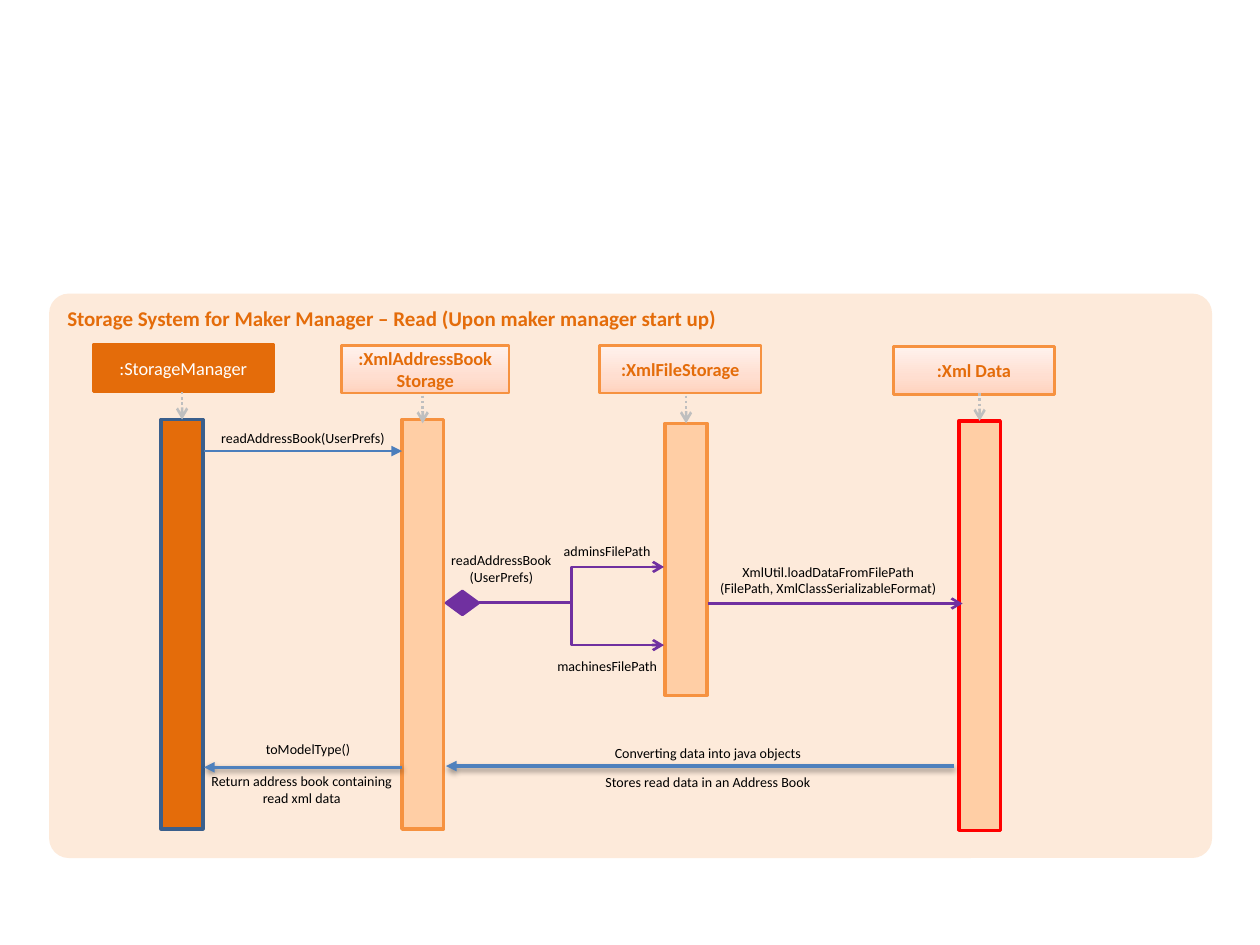
"""Build the storage read sequence diagram slide."""
from copy import deepcopy

from lxml.etree import SubElement
from pptx import Presentation
from pptx.dml.color import RGBColor
from pptx.enum.dml import MSO_LINE
from pptx.enum.shapes import MSO_CONNECTOR, MSO_SHAPE
from pptx.enum.text import MSO_ANCHOR, MSO_AUTO_SIZE, PP_ALIGN
from pptx.oxml.ns import qn
from pptx.util import Inches, Pt

ORANGE, PEACH, PURPLE, BLUE = "E46C0A", "FFCEA5", "7030A0", "4F81BD"
GRADIENT = [(0, "FFD2BD"), (0.35, "FFDED0"), (1, "FFF2ED")]
TITLE = "Storage System for Maker Manager – Read (Upon maker manager start up)"
BAR_WIDTH, HEADER_HEIGHT, DROP = 0.33, 0.38, 0.22

# name lines, header (left, top, width), bar (left, top, height), bar colours, drop top
LIFELINES = [
    ([":StorageManager"], (0.74, 2.73, 1.43), (1.28, 3.33, 3.25), (ORANGE, "3A5F8C"), 3.11),
    ([":XmlAddressBook", "Storage"], (2.71, 2.74, 1.33), (3.19, 3.33, 3.25), (PEACH, "F69240"), 3.14),
    ([":XmlFileStorage"], (4.76, 2.74, 1.28), (5.28, 3.36, 2.16), (PEACH, "F69240"), 3.14),
    ([":Xml Data"], (7.09, 2.75, 1.28), (7.61, 3.34, 3.25), (PEACH, "FF0000"), 3.12),
]
# start, end, colour, width, arrowhead, elbow, shadow
MESSAGES = [
    ((1.62, 3.58), (3.19, 3.58), "4B7EBC", 0.75, "triangle", False, False),
    ((3.8, 4.78), (5.27, 5.12), PURPLE, 1.5, "arrow", True, False),
    ((3.8, 4.78), (5.27, 4.5), PURPLE, 1.5, "arrow", True, False),
    ((5.62, 4.79), (7.64, 4.79), PURPLE, 1.5, "arrow", False, False),
    ((7.57, 6.08), (3.54, 6.08), BLUE, 2, "triangle", False, True),
    ((3.19, 6.09), (1.62, 6.09), BLUE, 2, "triangle", False, True),
]
LABELS = [
    ((1.62, 3.36, 1.57, 0.24), ["readAddressBook(UserPrefs)"]),
    ((3.46, 4.33, 1.04, 0.37), ["readAddressBook", "(UserPrefs)"]),
    ((4.3, 5.17, 1.04, 0.24), ["machinesFilePath"]),
    ((4.3, 4.26, 1.04, 0.24), ["adminsFilePath"]),
    ((5.58, 4.42, 1.99, 0.37), ["XmlUtil.loadDataFromFilePath", "(FilePath, XmlClassSerializableFormat)"]),
    ((4.43, 6.09, 2.38, 0.24), ["Stores read data in an Address Book"]),
    ((4.43, 5.86, 2.38, 0.24), ["Converting data into java objects"]),
    ((1.57, 6.08, 1.65, 0.38), ["Return address book containing read xml data"]),
    ((1.62, 5.83, 1.65, 0.24), ["toModelType()"]),
]


def colour(value):
    """Turn a hex string into a colour."""
    return RGBColor.from_string(value)


def add_run(paragraph, text, size, value, bold=False):
    """Add one formatted run."""
    run = paragraph.add_run()
    run.text = text
    run.font.name, run.font.size, run.font.bold = "Calibri", Pt(size), bold
    run.font.color.rgb = colour(value)


def add_box(slide, kind, box, fill, line=None, width=1.5):
    """Add a preset shape with a solid or gradient fill."""
    shape = slide.shapes.add_shape(kind, *map(Inches, box))
    shape.shadow.inherit = False
    if isinstance(fill, str):
        shape.fill.solid()
        shape.fill.fore_color.rgb = colour(fill)
    else:
        shape.fill.gradient()
        shape.fill.gradient_angle = 90
        stops = shape._element.spPr.find(".//" + qn("a:gsLst"))
        stops.append(deepcopy(stops[-1]))
        for stop, (position, value) in zip(shape.fill.gradient_stops, fill):
            stop.position, stop.color.rgb = position, colour(value)
    if line:
        shape.line.color.rgb = colour(line)
        shape.line.width = Pt(width)
    else:
        shape.line.fill.background()
    return shape


def add_arrow(slide, start, end, value, width, head, elbow=False, shadow=False, dash=None):
    """Add a connector with an arrowhead at its end."""
    kind = MSO_CONNECTOR.ELBOW if elbow else MSO_CONNECTOR.STRAIGHT
    arrow = slide.shapes.add_connector(kind, *map(Inches, start + end))
    arrow.line.color.rgb = colour(value)
    arrow.line.width = Pt(width)
    if dash:
        arrow.line.dash_style = dash
    properties = arrow._element.spPr
    SubElement(properties.find(qn("a:ln")), qn("a:tailEnd"), type=head)
    effects = SubElement(properties, qn("a:effectLst"))
    if shadow:
        outer = SubElement(effects, qn("a:outerShdw"), blurRad="40000", dist="20000",
                           dir="5400000", rotWithShape="0")
        black = SubElement(outer, qn("a:srgbClr"), val="000000")
        SubElement(black, qn("a:alpha"), val="38000")


def add_lifeline(slide, names, header, bar, colours, drop_top):
    """Add a header, its activation bar and the dotted drop between them."""
    first = names[0] == ":StorageManager"
    left, top, width = header
    box = add_box(slide, MSO_SHAPE.RECTANGLE, (left, top, width, HEADER_HEIGHT),
                  ORANGE if first else GRADIENT, ORANGE if first else "F69240")
    box.text_frame.vertical_anchor = MSO_ANCHOR.MIDDLE
    paragraph = box.text_frame.paragraphs[0]
    paragraph.alignment = PP_ALIGN.CENTER
    for index, name in enumerate(names):
        if index:
            paragraph.add_line_break()
        add_run(paragraph, name, 10.5, "FFFFFF" if first else ORANGE, not first)
    left, top, height = bar
    add_box(slide, MSO_SHAPE.RECTANGLE, (left, top, BAR_WIDTH, height), *colours, 2)
    center = left + BAR_WIDTH / 2
    add_arrow(slide, (center, drop_top), (center, drop_top + DROP), "BFBFBF", 1.5, "arrow",
              dash=MSO_LINE.ROUND_DOT)


def add_label(slide, box, lines):
    """Add a centred message label."""
    frame = slide.shapes.add_textbox(*map(Inches, box)).text_frame
    frame.word_wrap = True
    frame.auto_size = MSO_AUTO_SIZE.SHAPE_TO_FIT_TEXT
    for index, line in enumerate(lines):
        paragraph = frame.add_paragraph() if index else frame.paragraphs[0]
        paragraph.alignment = PP_ALIGN.CENTER
        add_run(paragraph, line, 8, "000000")


presentation = Presentation()
presentation.slide_width, presentation.slide_height = Inches(10), Inches(7.5)
slide = presentation.slides.add_slide(presentation.slide_layouts[6])

panel = add_box(slide, MSO_SHAPE.ROUNDED_RECTANGLE, (0.39, 2.33, 9.23, 4.48), "FDEADA")
panel.adjustments[0] = 0.035
panel.text_frame.vertical_anchor = MSO_ANCHOR.TOP
panel.text_frame.paragraphs[0].alignment = PP_ALIGN.LEFT
add_run(panel.text_frame.paragraphs[0], TITLE, 12, ORANGE, True)

for lifeline in LIFELINES:
    add_lifeline(slide, *lifeline)
for message in MESSAGES:
    add_arrow(slide, *message)
add_box(slide, MSO_SHAPE.FLOWCHART_DECISION, (3.54, 4.69, 0.26, 0.19), PURPLE, PURPLE)
for label in LABELS:
    add_label(slide, *label)

presentation.save("out.pptx")
